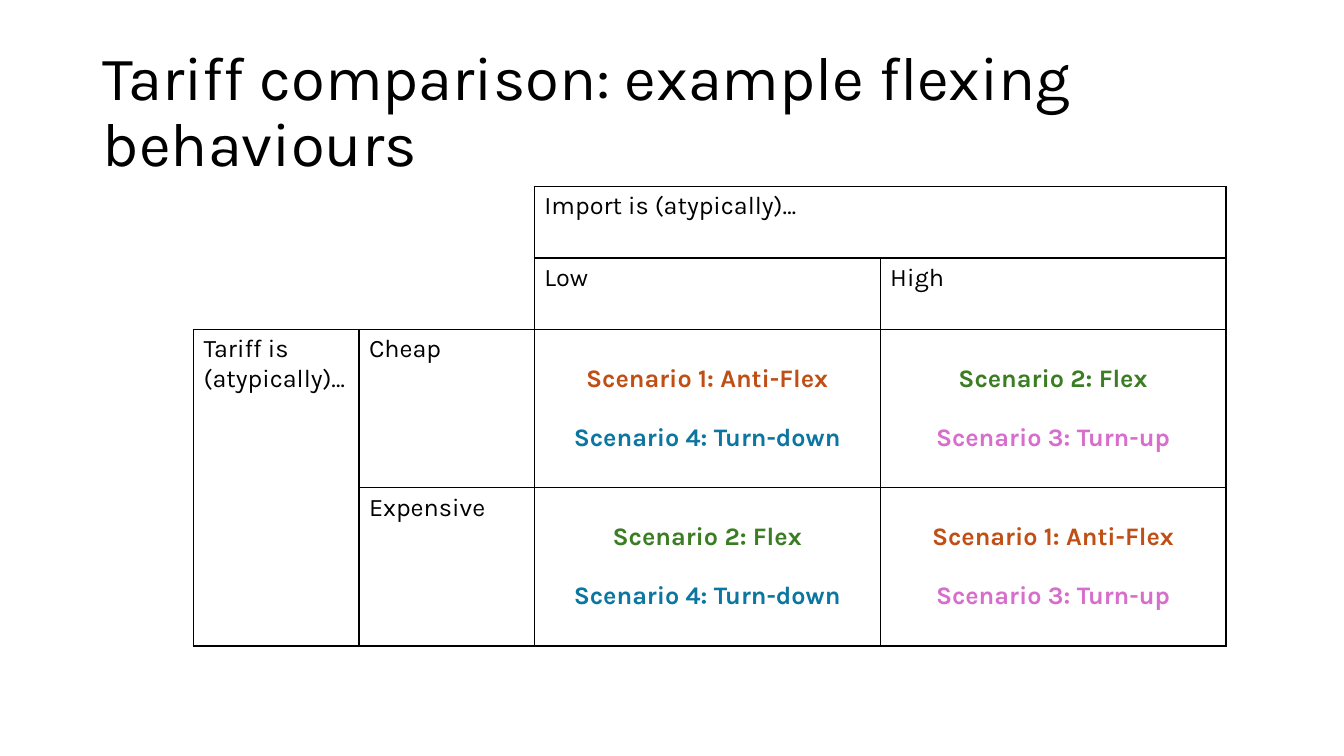
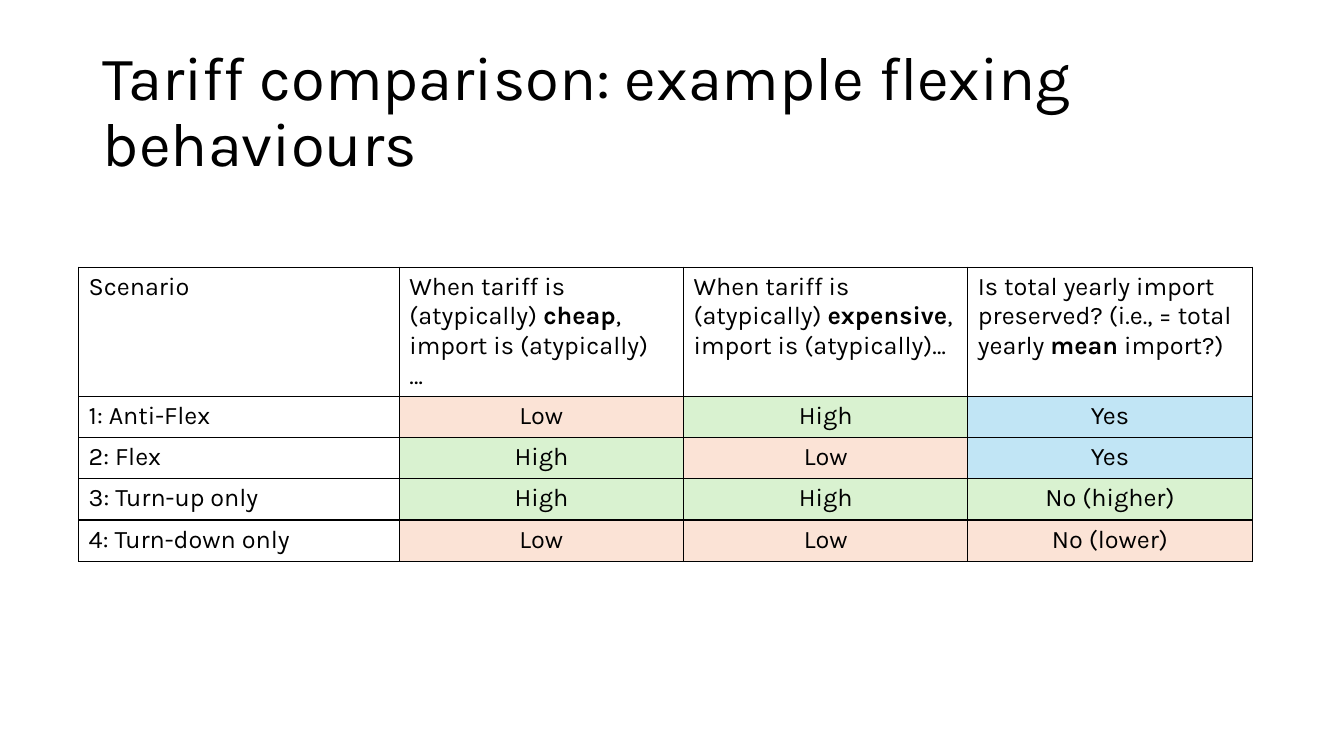
from lxml import etree
from pptx import Presentation
from pptx.dml.color import RGBColor
from pptx.enum.text import MSO_ANCHOR, MSO_AUTO_SIZE, PP_ALIGN
from pptx.oxml.ns import qn
from pptx.util import Inches, Pt

LEFT, CENTER = PP_ALIGN.LEFT, PP_ALIGN.CENTER
TOP, MIDDLE = MSO_ANCHOR.TOP, MSO_ANCHOR.MIDDLE
NO_AUTOFIT = MSO_AUTO_SIZE.NONE
TITLE_ONLY = 5

THEME = {
    "ink": "000000",
    "anti_flex": "C04F15",
    "flex": "3B7D23",
    "turn_up": "D86ECC",
    "turn_down": "0B76A0",
    "low": "FBE3D6",
    "high": "D9F2D0",
    "same": "C1E5F5",
    "title": {"name": "Karla", "size": Pt(44), "bold": False},
    "body": {"name": "Karla", "size": Pt(18), "bold": False},
    "emphasis": {"name": "Karla", "size": Pt(18), "bold": True},
    "border": Pt(1),
    "scenario_gap": Pt(21),
}

TITLE = "Tariff comparison: example flexing behaviours"
TITLE_BOX = {"left": Inches(0.92), "top": Inches(0.4),
             "width": Inches(11.5), "height": Inches(1.45)}
TITLE_FRAME = {"vertical_anchor": MIDDLE, "word_wrap": True, "auto_size": NO_AUTOFIT}
TITLE_PARAGRAPH = {"alignment": LEFT, "line_spacing": 0.9}

ANTI_FLEX = ("Scenario 1: Anti-Flex", "anti_flex")
FLEX = ("Scenario 2: Flex", "flex")
TURN_UP = ("Scenario 3: Turn-up", "turn_up")
TURN_DOWN = ("Scenario 4: Turn-down", "turn_down")


def add_run(paragraph, text, style, color="ink"):
    run = paragraph.add_run()
    run.text = text
    for attribute, value in THEME[style].items():
        setattr(run.font, attribute, value)
    run.font.color.rgb = RGBColor.from_string(THEME[color])


def add_grid(slide, left, top, widths, heights):
    frame = slide.shapes.add_table(
        len(heights), len(widths), Inches(left), Inches(top),
        Inches(sum(widths)), Inches(sum(heights)))
    grid = frame.table
    grid.first_row = grid.horz_banding = False
    for column, width in zip(grid.columns, widths):
        column.width = Inches(width)
    for row, height in zip(grid.rows, heights):
        row.height = Inches(height)
    return grid


prs = Presentation()
prs.slide_width, prs.slide_height = Inches(13.33), Inches(7.5)

slides = []
for _ in range(2):
    slide = prs.slides.add_slide(prs.slide_layouts[TITLE_ONLY])
    heading = slide.shapes.title
    heading_paragraph = heading.text_frame.paragraphs[0]
    for target, values in ((heading, TITLE_BOX), (heading.text_frame, TITLE_FRAME),
                           (heading_paragraph, TITLE_PARAGRAPH)):
        for attribute, value in values.items():
            setattr(target, attribute, value)
    add_run(heading_paragraph, TITLE, "title")
    slides.append(slide)
matrix_slide, summary_slide = slides

matrix = add_grid(matrix_slide, 1.92, 1.85, [1.64, 1.74, 3.43, 3.43], [0.71, 0.71, 1.57, 1.57])
summary = add_grid(summary_slide, 0.78, 2.65, [3.18, 2.82, 2.82, 2.82], [1.28] + [0.41] * 4)

for grid in (matrix, summary):
    for row_index, row in enumerate(grid.rows):
        for column_index, cell in enumerate(row.cells):
            in_corner = grid is matrix and row_index < 2 and column_index < 2
            properties = cell._tc.get_or_add_tcPr()
            for side in "LRTB":
                line = etree.SubElement(properties, qn(f"a:ln{side}"), w=str(THEME["border"]))
                if in_corner and side in "LT":
                    etree.SubElement(line, qn("a:noFill"))
                else:
                    paint = etree.SubElement(line, qn("a:solidFill"))
                    etree.SubElement(paint, qn("a:srgbClr"), val=THEME["ink"])
            cell.fill.background()

for first, last in (((0, 0), (1, 1)), ((0, 2), (0, 3)), ((2, 0), (3, 0))):
    matrix.cell(*first).merge(matrix.cell(*last))

matrix_labels = {
    (0, 2): "Import is (atypically)…",
    (1, 2): "Low",
    (1, 3): "High",
    (2, 0): "Tariff is (atypically)…",
    (2, 1): "Cheap",
    (3, 1): "Expensive",
}
for position, label in matrix_labels.items():
    cell = matrix.cell(*position)
    cell.vertical_anchor = TOP
    add_run(cell.text_frame.paragraphs[0], label, "body")

matrix_scenarios = {
    (2, 2): (ANTI_FLEX, TURN_DOWN),
    (2, 3): (FLEX, TURN_UP),
    (3, 2): (FLEX, TURN_DOWN),
    (3, 3): (ANTI_FLEX, TURN_UP),
}
for position, (upper, lower) in matrix_scenarios.items():
    cell = matrix.cell(*position)
    cell.vertical_anchor = MIDDLE
    upper_paragraph = cell.text_frame.paragraphs[0]
    lower_paragraph = cell.text_frame.add_paragraph()
    lower_paragraph.space_before = THEME["scenario_gap"]
    for paragraph, (scenario, color) in ((upper_paragraph, upper), (lower_paragraph, lower)):
        paragraph.alignment = CENTER
        add_run(paragraph, scenario, "emphasis", color)

summary_headers = [
    ("Scenario",),
    ("When tariff is (atypically) ", "cheap", ", import is (atypically)", "\n", "…"),
    ("When tariff is (atypically) ", "expensive", ", import is (atypically)…"),
    ("Is total yearly import preserved? (i.e., = total yearly ", "mean", " import?)"),
]
for column_index, pieces in enumerate(summary_headers):
    paragraph = summary.cell(0, column_index).text_frame.paragraphs[0]
    for piece in pieces:
        if piece == "\n":
            paragraph.add_line_break()
        else:
            style = "emphasis" if piece in ("cheap", "expensive", "mean") else "body"
            add_run(paragraph, piece, style)

summary_rows = [
    ("1: Anti-Flex", "Low", "High", "Yes"),
    ("2: Flex", "High", "Low", "Yes"),
    ("3: Turn-up only", "High", "High", "No (higher)"),
    ("4: Turn-down only", "Low", "Low", "No (lower)"),
]
answer_fills = {"Low": "low", "No (lower)": "low", "High": "high",
                "No (higher)": "high", "Yes": "same"}
for row_index, answers in enumerate(summary_rows, start=1):
    for column_index, answer in enumerate(answers):
        cell = summary.cell(row_index, column_index)
        paragraph = cell.text_frame.paragraphs[0]
        add_run(paragraph, answer, "body")
        if answer in answer_fills:
            paragraph.alignment = CENTER
            cell.fill.solid()
            cell.fill.fore_color.rgb = RGBColor.from_string(THEME[answer_fills[answer]])

prs.save("out.pptx")
